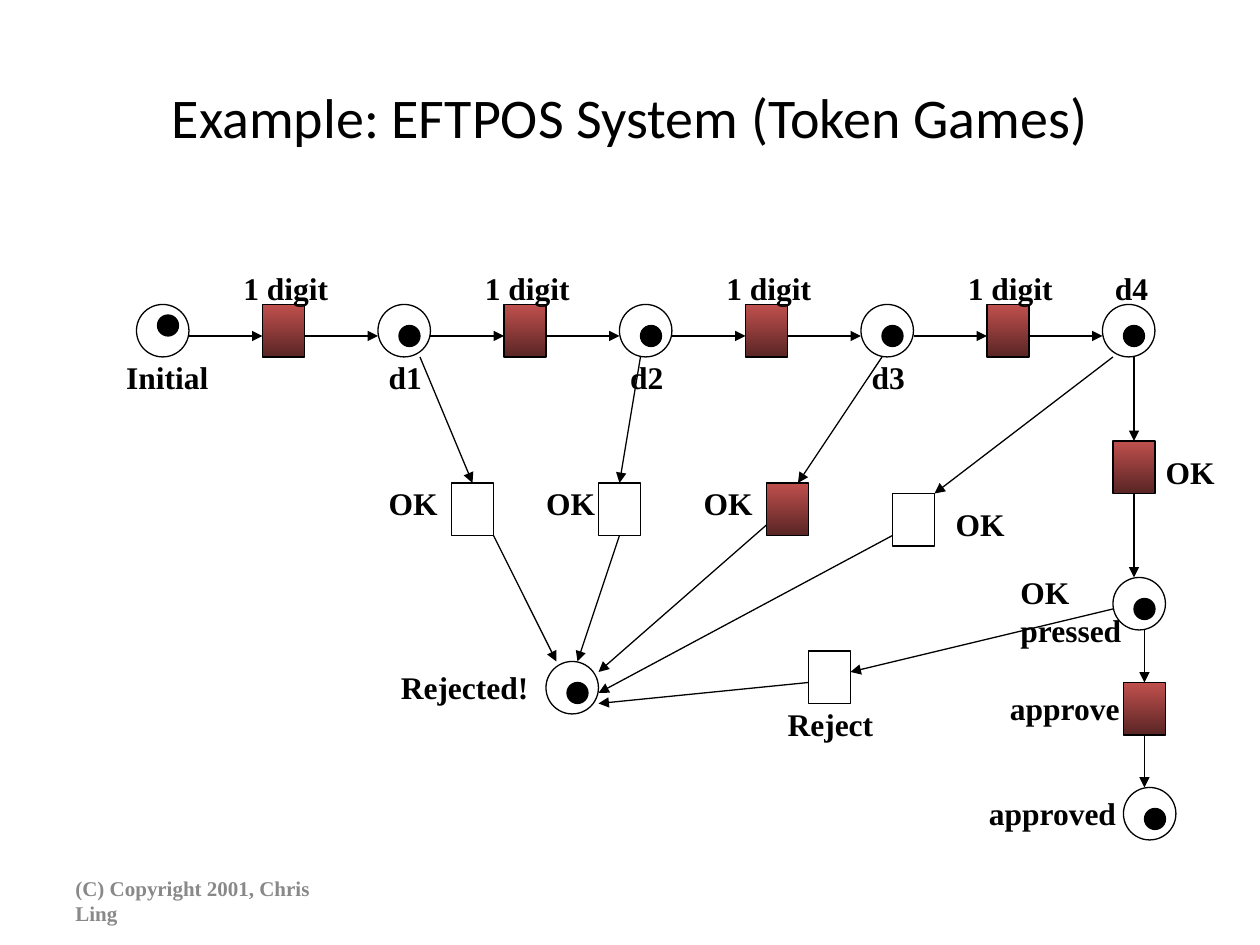
from lxml.etree import SubElement
from pptx import Presentation
from pptx.dml.color import RGBColor
from pptx.enum.shapes import MSO_CONNECTOR as CONN, MSO_SHAPE as SHAPE
from pptx.enum.text import MSO_ANCHOR as ANCHOR, MSO_AUTO_SIZE as AUTO, PP_ALIGN as ALIGN
from pptx.oxml.ns import qn
from pptx.util import Pt

BLACK = RGBColor(0, 0, 0)
GRAY = RGBColor(0x89, 0x89, 0x89)
RED = RGBColor(0xC0, 0x50, 0x4D)
DARK_RED = RGBColor(0x59, 0x25, 0x24)

PLACE, TOKEN = 30, 12
BAR_W, BAR_H = 24, 30
PITCH, ROW_TOP, FLOW_Y = 138, 174, 192
FIRST_PLACE, FIRST_BAR = 78, 150


def write(tf, text, font="Times New Roman", size=18, color=BLACK, bold=True, align=None):
    tf.text = text
    for p in tf.paragraphs:
        p.alignment = align
        p.font.name, p.font.size, p.font.bold = font, Pt(size), bold
        p.font.color.rgb = color


class NetSlide:
    line_width = Pt(0.75)

    def __init__(self, prs):
        self.s = prs.slides.add_slide(prs.slide_layouts[5])

    def title(self, text, x, y, w, h):
        sp = self.s.shapes.title
        sp.left, sp.top, sp.width, sp.height = Pt(x), Pt(y), Pt(w), Pt(h)
        sp.text_frame.vertical_anchor = ANCHOR.MIDDLE
        write(sp.text_frame, text, font="Calibri", size=32, bold=False, align=ALIGN.CENTER)

    def shape(self, kind, x, y, w, h):
        sp = self.s.shapes.add_shape(kind, Pt(x), Pt(y), Pt(w), Pt(h))
        sp.shadow.inherit = False
        sp.fill.background()
        sp.line.color.rgb = BLACK
        sp.line.width = self.line_width
        return sp

    def place(self, x, y, dx=12, dy=12):
        token = self.shape(SHAPE.OVAL, x + dx, y + dy, TOKEN, TOKEN)
        token.fill.solid()
        token.fill.fore_color.rgb = BLACK
        self.shape(SHAPE.OVAL, x, y, PLACE, PLACE)

    def transition(self, x, y, fired=False):
        sp = self.shape(SHAPE.RECTANGLE, x, y, BAR_W, BAR_H)
        if fired:
            sp.fill.gradient()
            sp.fill.gradient_angle = 270
            for stop, color in zip(sp.fill.gradient_stops, (RED, DARK_RED)):
                stop.color.rgb = color

    def arrow(self, x1, y1, x2, y2):
        cx = self.s.shapes.add_connector(CONN.STRAIGHT, Pt(x1), Pt(y1), Pt(x2), Pt(y2))
        cx.line.color.rgb = BLACK
        cx.line.width = self.line_width
        SubElement(cx.line._get_or_add_ln(), qn("a:tailEnd"), type="triangle")
        SubElement(cx._element.spPr, qn("a:effectLst"))

    def label(self, text, x, y, w, h=28.8):
        tf = self.s.shapes.add_textbox(Pt(x), Pt(y), Pt(w), Pt(h)).text_frame
        tf.word_wrap = False
        tf.auto_size = AUTO.SHAPE_TO_FIT_TEXT
        write(tf, text)

    def footer(self, text, x, y, w, h):
        tf = self.s.shapes.add_textbox(Pt(x), Pt(y), Pt(w), Pt(h)).text_frame
        tf.word_wrap = True
        tf.vertical_anchor = ANCHOR.MIDDLE
        write(tf, text, size=12, color=GRAY)


def draw_digit_row(net):
    net.place(FIRST_PLACE, ROW_TOP, dy=6)
    net.label("Initial", 65, 201, 63)
    for i in range(4):
        x, bar = FIRST_PLACE + i * PITCH, FIRST_BAR + i * PITCH
        target = x + PITCH
        net.transition(bar, ROW_TOP, fired=True)
        net.place(target, ROW_TOP)
        net.arrow(x + PLACE, FLOW_Y, bar, FLOW_Y)
        net.arrow(bar + BAR_W, FLOW_Y, target, FLOW_Y)
        net.label("1 digit", bar - 18, 150, 64)
        if i < 3:
            net.label(f"d{i + 1}", target - 1, 201, 35)
    net.label("d4", 630, 150, 35)


def draw_approval(net):
    for x, y in [(636, 252), (642, 390)]:
        net.transition(x, y, fired=True)
    for x, y in [(636, 330), (642, 450)]:
        net.place(x, y)
    for x, top, bottom in [(648, 204, 252), (648, 282, 330), (654, 360, 390), (654, 420, 450)]:
        net.arrow(x, top, x, bottom)
    net.label("OK", 659, 255.2, 44)
    net.label("OK\npressed", 576, 324, 73, 50.4)
    net.label("approve", 570, 390, 78)
    net.label("approved", 558, 450, 88)


def draw_rejection(net):
    net.place(312, 378)
    net.label("Rejected!", 222, 378, 89)
    branches = [
        (258, 276, False, (240, 204, 270, 276), (282, 306, 318, 378), "OK", 215, 273, 44),
        (342, 276, False, (366, 204, 354, 276), (354, 306, 330, 378), "OK", 305, 273, 44),
        (438, 276, True, (504, 204, 456, 276), (438, 300, 342, 384), "OK", 395, 273, 44),
        (510, 282, False, (636, 204, 534, 282), (510, 306, 342, 396), "OK", 539, 285.2, 44),
        (462, 372, False, (636, 348, 486, 384), (462, 390, 342, 402), "Reject", 443, 399.2, 65),
    ]
    for x, y, fired, arrow_in, arrow_out, *caption in branches:
        net.transition(x, y, fired)
        net.arrow(*arrow_in)
        net.arrow(*arrow_out)
        net.label(*caption)


def main():
    prs = Presentation()
    prs.slide_width, prs.slide_height = Pt(720), Pt(540)
    net = NetSlide(prs)
    net.title("Example: EFTPOS System (Token Games)", 36, 21.6, 648, 90)
    net.footer("(C) Copyright 2001, Chris Ling", 36, 500.4, 168, 28.8)
    draw_digit_row(net)
    draw_approval(net)
    draw_rejection(net)
    prs.save("out.pptx")


if __name__ == "__main__":
    main()
